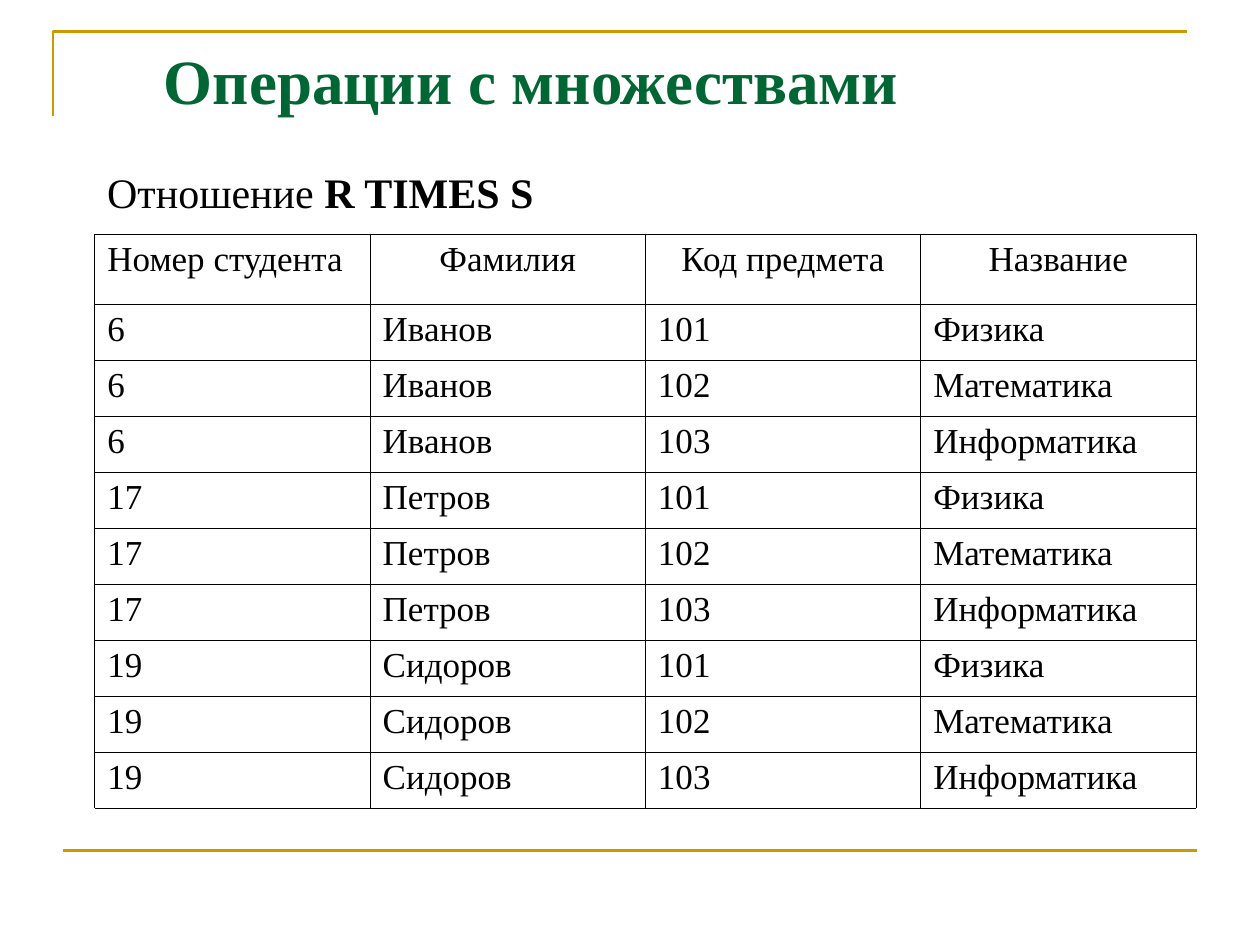
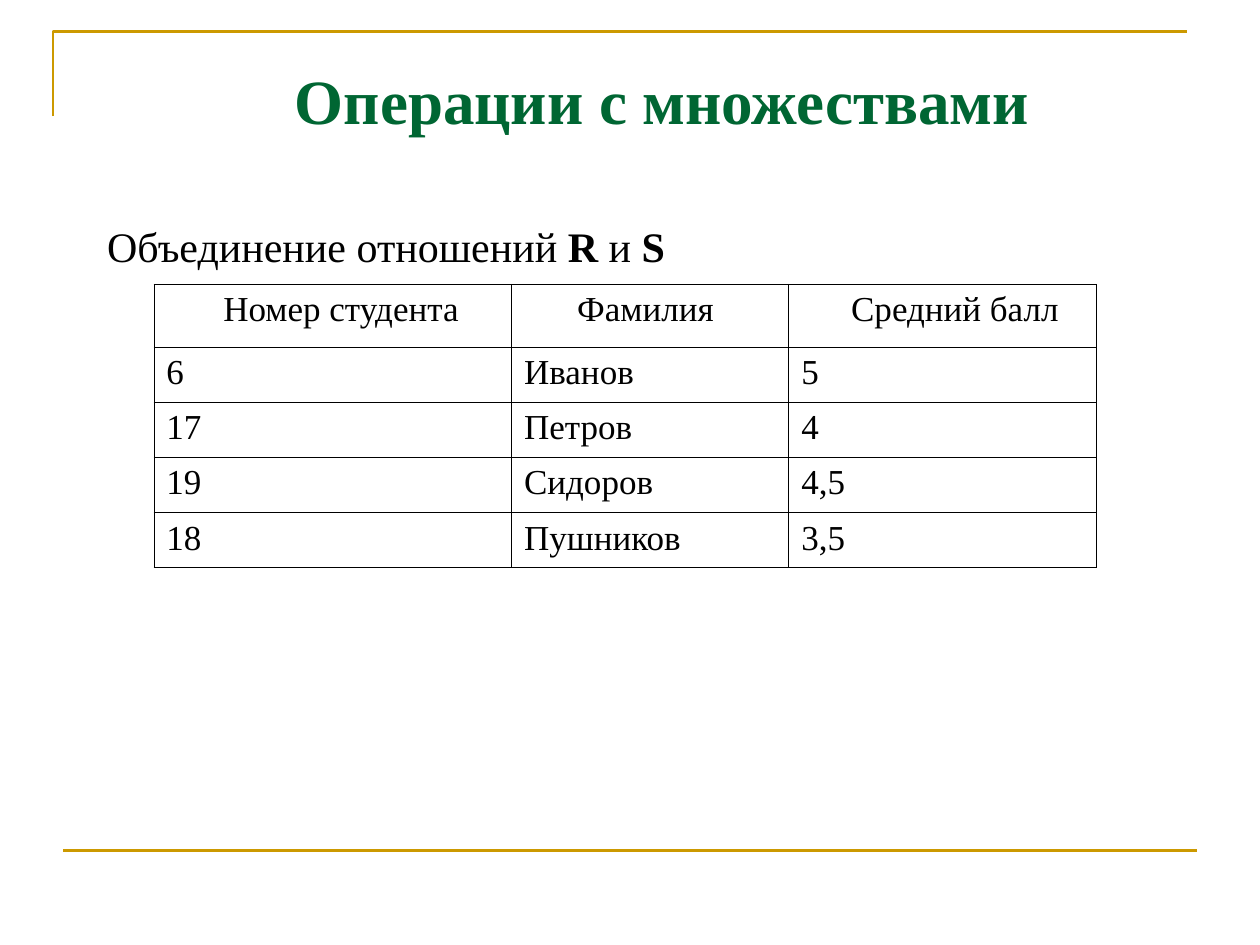
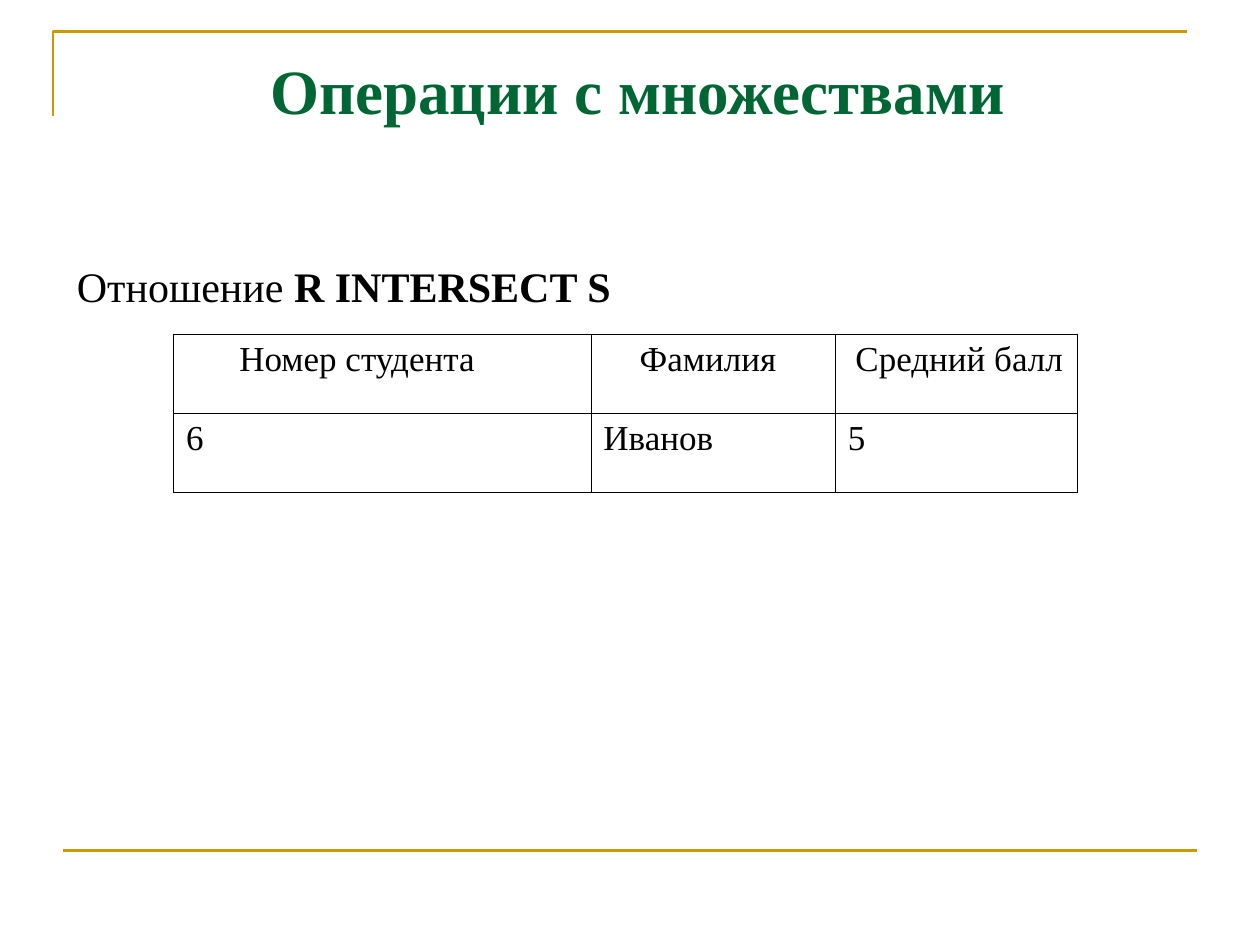
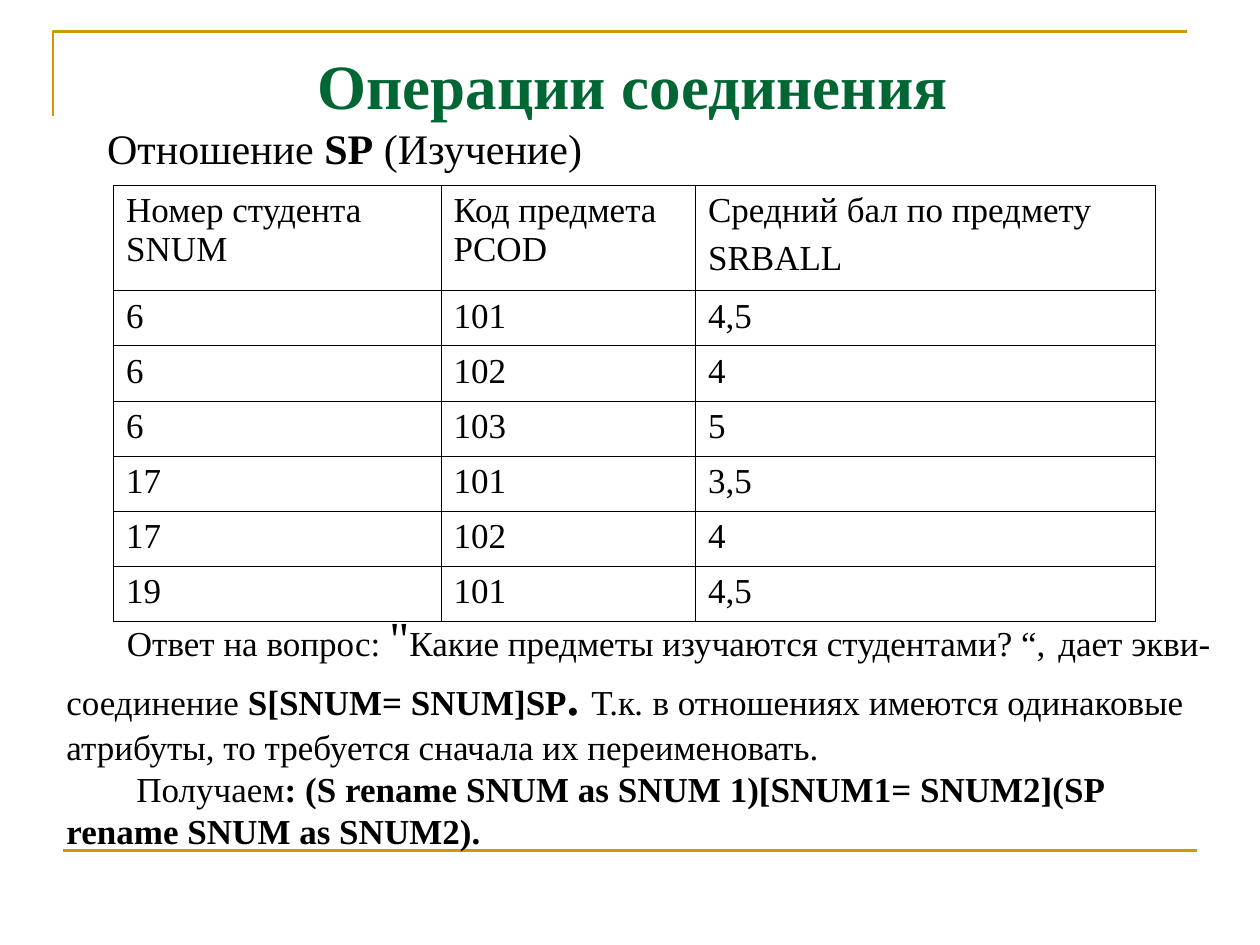
from dataclasses import dataclass
from itertools import product
from typing import NamedTuple

from lxml import etree
from pptx import Presentation
from pptx.dml.color import RGBColor
from pptx.enum.shapes import MSO_CONNECTOR as Connector
from pptx.enum.text import MSO_ANCHOR as Anchor, MSO_AUTO_SIZE as AutoSize, PP_ALIGN as Align
from pptx.oxml.ns import qn
from pptx.util import Cm, Pt

FONT = "Times New Roman"
GOLD, GREEN, BLACK = "CC9900", "006633", "000000"
TITLE_SIZE, CAPTION_SIZE, TEXT_SIZE, LARGE_SIZE = 36, 24, 20, 28
TITLE_HEIGHT, CAPTION_HEIGHT = 1.78, 1.27


class Run(NamedTuple):
    text: str
    bold: bool = False
    size: int = TEXT_SIZE
    italic: bool = False


class Box(NamedTuple):
    left: float
    top: float
    width: float
    height: float


class Heading(NamedTuple):
    lines: list[str]
    align: Align = Align.JUSTIFY
    indent: float = 0
    gap: float = 0


@dataclass
class Relation:
    left: float
    top: float
    columns: list[float]
    header_height: float
    row_height: float
    headings: list[Heading]
    rows: list[tuple]


@dataclass
class Page:
    title: str
    title_box: Box
    caption: list[Run]
    caption_box: Box
    relation: Relation
    title_align: Align = Align.LEFT


def colour(value: str) -> RGBColor:
    return RGBColor.from_string(value)


def add_text(paragraph, text: str, size: float = TEXT_SIZE, color: str = BLACK,
             bold: bool = False, italic: bool = False) -> None:
    run = paragraph.add_run()
    run.text = text
    font = run.font
    font.name, font.size = FONT, Pt(size)
    font.bold, font.italic = bold, italic
    font.color.rgb = colour(color)


def set_indent(paragraph, first: float = 0, left: float = 0) -> None:
    properties = paragraph._p.get_or_add_pPr()
    properties.set("marL", str(Cm(left)))
    properties.set("indent", str(Cm(first)))


def lengths(box: Box) -> list[Cm]:
    return [Cm(value) for value in box]


def draw_frame(slide, master) -> None:
    builder = slide.shapes.build_freeform(Cm(1.07), Cm(2.34))
    builder.add_line_segments([(Cm(1.07), Cm(0.64)), (Cm(23.93), Cm(0.64))], close=False)
    corner = builder.convert_to_shape()
    corner.shadow.inherit = False
    corner.fill.background()
    footer = slide.shapes.add_connector(
        Connector.STRAIGHT, Cm(1.27), Cm(17.15), Cm(24.13), Cm(17.15))
    etree.SubElement(footer.element.spPr, qn("a:effectLst"))
    for number, part in enumerate((corner, footer), 101):
        part.line.color.rgb = colour(GOLD)
        part.line.width = Pt(1.5)
        part.element.xpath(".//p:cNvPr")[0].set("id", str(number))
        master.shapes.element.append(part.element)


def draw_title(slide, page: Page) -> None:
    title = slide.shapes.title
    title.left, title.top, title.width, title.height = lengths(page.title_box)
    frame = title.text_frame
    frame.word_wrap = True
    frame.auto_size = AutoSize.NONE
    frame.vertical_anchor = Anchor.TOP
    paragraph = frame.paragraphs[0]
    paragraph.alignment = page.title_align
    add_text(paragraph, page.title, size=TITLE_SIZE, color=GREEN, bold=True)


def draw_text_box(slide, box: Box, paragraphs: list[list[Run]],
                  indents: tuple[float, ...] = (0,)) -> None:
    frame = slide.shapes.add_textbox(*lengths(box)).text_frame
    frame.word_wrap = True
    frame.vertical_anchor = Anchor.MIDDLE
    for index, (runs, indent) in enumerate(zip(paragraphs, indents)):
        paragraph = frame.add_paragraph() if index else frame.paragraphs[0]
        set_indent(paragraph, first=indent)
        for run in runs:
            add_text(paragraph, run.text, size=run.size, bold=run.bold, italic=run.italic)


def add_borders(cell) -> None:
    properties = cell._tc.get_or_add_tcPr()
    for index, side in enumerate(("a:lnL", "a:lnR", "a:lnT", "a:lnB")):
        border = etree.Element(qn(side), w=str(Pt(0.34)))
        fill = etree.SubElement(border, qn("a:solidFill"))
        etree.SubElement(fill, qn("a:srgbClr"), val=BLACK)
        properties.insert(index, border)


def fill_cell(cell, content: Heading) -> None:
    cell.fill.background()
    add_borders(cell)
    frame = cell.text_frame
    for index, line in enumerate(content.lines):
        paragraph = frame.add_paragraph() if index else frame.paragraphs[0]
        set_indent(paragraph, left=content.indent)
        paragraph.alignment = content.align
        if index:
            paragraph.space_before = Pt(content.gap)
        add_text(paragraph, line)


def draw_relation(slide, relation: Relation) -> None:
    heights = [relation.header_height] + [relation.row_height] * len(relation.rows)
    box = Box(relation.left, relation.top, sum(relation.columns), sum(heights))
    table = slide.shapes.add_table(len(heights), len(relation.columns), *lengths(box)).table
    table.first_row = table.horz_banding = False
    for column, width in zip(table.columns, relation.columns):
        column.width = Cm(width)
    records = [relation.headings] + [[Heading([value]) for value in row] for row in relation.rows]
    for row, height, record in zip(table.rows, heights, records):
        row.height = Cm(height)
        for cell, content in zip(row.cells, record):
            fill_cell(cell, content)


def caption_run(text: str, bold: bool = False) -> Run:
    return Run(text, bold, CAPTION_SIZE)


STUDENTS = [("6", "Иванов"), ("17", "Петров"), ("19", "Сидоров")]
SUBJECTS = [("101", "Физика"), ("102", "Математика"), ("103", "Информатика")]
SETS_TITLE = "Операции с множествами"

PAGES = [
    Page(
        SETS_TITLE, Box(3.05, 0.71, 19.84, TITLE_HEIGHT),
        [caption_run("Отношение "), caption_run("R TIMES S", True)],
        Box(1.91, 3.23, 10.21, CAPTION_HEIGHT),
        Relation(
            1.91, 4.72, [5.55] * 4, 1.41, 1.13,
            [Heading(["Номер студента"])]
            + [Heading([name], Align.CENTER) for name in ("Фамилия", "Код предмета", "Название")],
            [student + subject for student, subject in product(STUDENTS, SUBJECTS)],
        ),
    ),
    Page(
        SETS_TITLE, Box(5.69, 1.12, 16.61, TITLE_HEIGHT),
        [caption_run("Объединение отношений "), caption_run("R", True),
         caption_run(" и "), caption_run("S", True)],
        Box(1.91, 4.32, 18.57, CAPTION_HEIGHT),
        Relation(
            3.1, 5.73, [7.21, 5.59, 6.2], 1.27, 1.11,
            [Heading(["Номер студента"], Align.CENTER, 0.34),
             Heading(["Фамилия"], indent=1.07),
             Heading(["Средний балл"], Align.CENTER, 0.5)],
            [student + (mark,) for student, mark in
             zip(STUDENTS + [("18", "Пушников")], ("5", "4", "4,5", "3,5"))],
        ),
    ),
    Page(
        SETS_TITLE, Box(1.85, 0.91, 22, TITLE_HEIGHT),
        [caption_run("Отношение "), caption_run("R INTERSECT S", True)],
        Box(1.3, 5.13, 11.43, CAPTION_HEIGHT),
        Relation(
            3.5, 6.73, [8.41, 4.93, 4.88], 1.6, 1.6,
            [Heading(["Номер студента"], indent=1.07),
             Heading(["Фамилия"], indent=0.73),
             Heading(["Средний балл"], indent=0.15)],
            [STUDENTS[0] + ("5",)],
        ),
        Align.CENTER,
    ),
    Page(
        "Операции соединения", Box(6.15, 0.81, 16, TITLE_HEIGHT),
        [caption_run("Отношение "), caption_run("SP", True), caption_run(" (Изучение)")],
        Box(1.91, 2.34, 18.19, CAPTION_HEIGHT),
        Relation(
            2.29, 3.73, [6.6, 5.13, 9.27], 2.13, 1.11,
            [Heading(["Номер студента", "SNUM"]),
             Heading(["Код предмета", "PCOD"], Align.LEFT),
             Heading(["Средний бал по предмету", "SRBALL"], Align.LEFT, gap=5)],
            [("6", "101", "4,5"), ("6", "102", "4"), ("6", "103", "5"),
             ("17", "101", "3,5"), ("17", "102", "4"), ("19", "101", "4,5")],
        ),
    ),
]

ANSWER = [
    [
        Run("Ответ на вопрос: "),
        Run('"', size=LARGE_SIZE),
        Run("Какие предметы изучаются студентами? “,"),
        Run(" ", size=LARGE_SIZE),
        Run("дает экви-соединение "),
        Run("S[SNUM= SNUM]SP", True),
        Run(". ", True, LARGE_SIZE),
        Run("Т.к"),
        Run(". ", italic=True),
        Run("в отношениях имеются одинаковые атрибуты, "
            "то требуется сначала их переименовать."),
    ],
    [
        Run("Получаем"),
        Run(": (S rename SNUM as SNUM 1)[SNUM1= SNUM2](SP rename SNUM as SNUM2).", True),
    ],
]


def main() -> None:
    deck = Presentation()
    deck.slide_width, deck.slide_height = Cm(25.4), Cm(19.05)
    title_only = deck.slide_layouts[5]
    slides = [deck.slides.add_slide(title_only) for _ in PAGES]
    draw_frame(slides[0], deck.slide_master)
    for slide, page in zip(slides, PAGES):
        draw_title(slide, page)
        draw_relation(slide, page.relation)
        draw_text_box(slide, page.caption_box, [page.caption])
    draw_text_box(slides[-1], Box(1.09, 12.12, 23.65, 5.18), ANSWER, (1.22, 1.41))
    deck.save("out.pptx")


if __name__ == "__main__":
    main()
